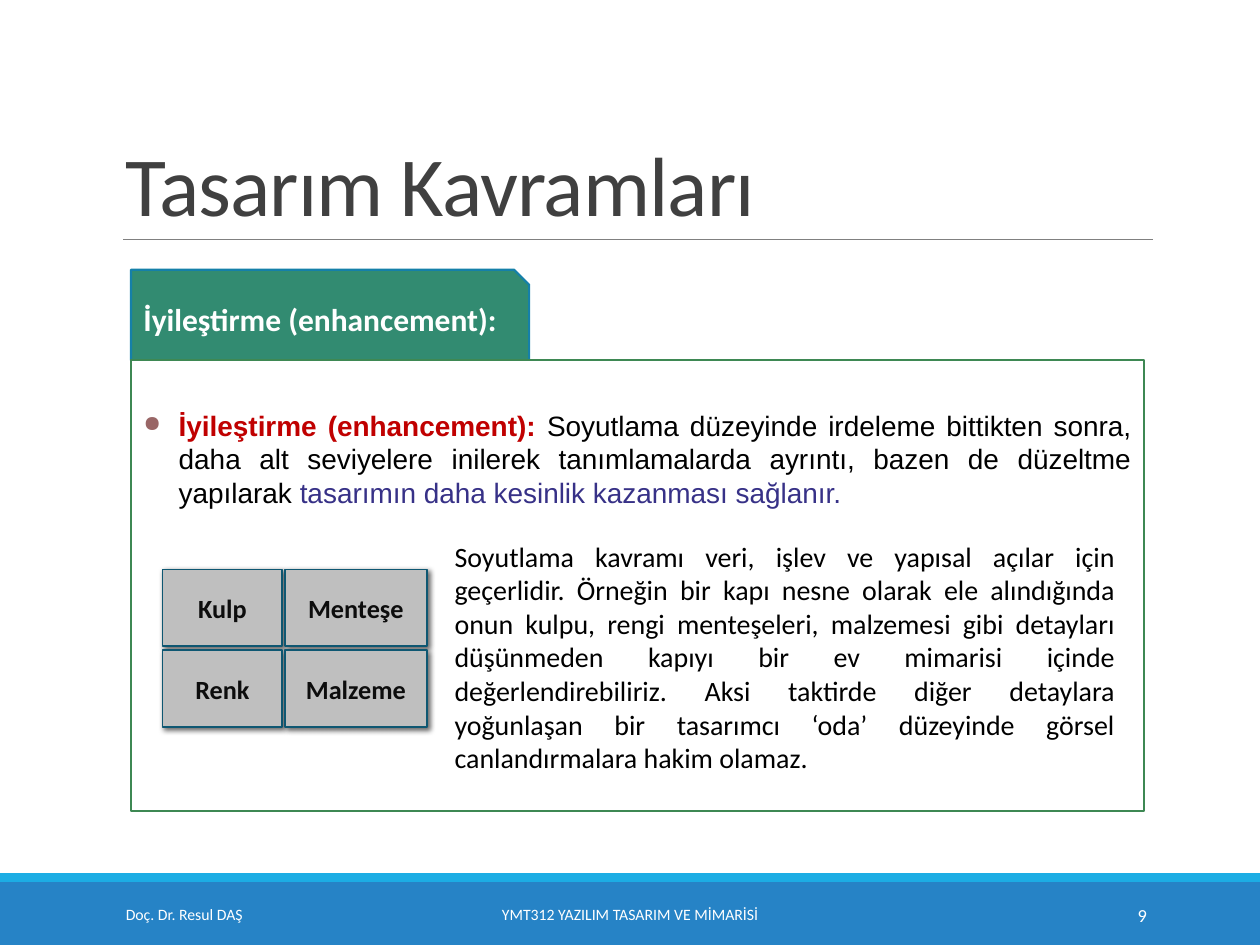
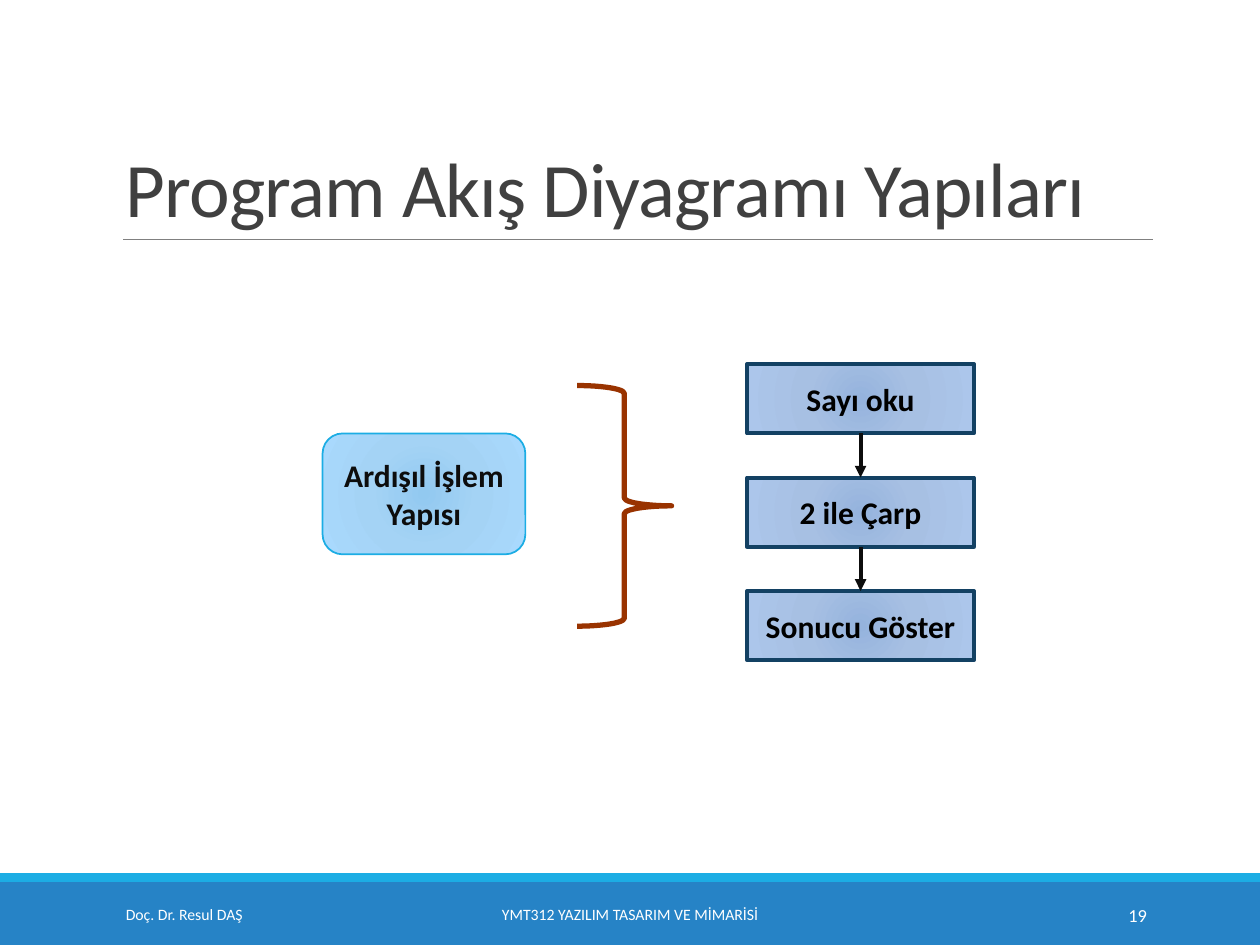
"""Build two lecture slides: design concepts and program flow structures."""
from lxml.etree import SubElement
from pptx import Presentation
from pptx.dml.color import RGBColor
from pptx.enum.shapes import MSO_CONNECTOR, MSO_SHAPE
from pptx.enum.text import MSO_ANCHOR, PP_ALIGN
from pptx.oxml import parse_xml
from pptx.oxml.ns import nsdecls, qn
from pptx.util import Inches, Pt

COLORS = {
    "white": "FFFFFF", "black": "000000", "ink": "0D0D0D", "title": "404040",
    "rule": "808080", "footer": "2683C6", "stripe": "1CADE4",
    "tab": "328B71", "tab_line": "1580A9", "panel_line": "3E8853",
    "bullet": "996666", "red": "C00000", "violet": "373187",
    "part": "BFBFBF", "part_line": "0E5772", "step_line": "134163", "brace": "993300",
}
STEP_STOPS = [(0, "95B3DD"), (45, "A7C0E3"), (100, "ACC6EB")]
TOPIC_STOPS = [(0, "92C9F0"), (45, "A4D3F5"), (100, "A9D9FD")]


def add_box(page, kind, at, fill=None, line=None, width=1.0, stops=None):
    """Add a preset shape, or a text box when kind is None."""
    place = [Inches(value) for value in at]
    if kind is None:
        box = page.shapes.add_textbox(*place)
    else:
        box = page.shapes.add_shape(kind, *place)
        box.shadow.inherit = False
        if fill:
            box.fill.solid()
            box.fill.fore_color.rgb = RGBColor.from_string(COLORS[fill])
        else:
            box.fill.background()
        if line:
            box.line.color.rgb = RGBColor.from_string(COLORS[line])
            box.line.width = Pt(width)
        else:
            box.line.fill.background()
    if stops:
        marks = "".join(
            f'<a:gs pos="{pos * 1000}"><a:srgbClr val="{color}"/></a:gs>' for pos, color in stops)
        gradient = parse_xml(
            f'<a:gradFill {nsdecls("a")} rotWithShape="1"><a:gsLst>{marks}</a:gsLst>'
            '<a:path path="circle"><a:fillToRect l="50000" t="50000" r="50000" b="50000"/>'
            '</a:path></a:gradFill>')
        properties = box.fill._xPr
        properties.replace(properties.find(qn("a:noFill")), gradient)
    box.text_frame.word_wrap = True
    return box


def write(box, runs, size, align=PP_ALIGN.LEFT, anchor=MSO_ANCHOR.MIDDLE, font="Calibri"):
    """Fill a box with one paragraph of (text, color, bold) runs."""
    box.text_frame.vertical_anchor = anchor
    para = box.text_frame.paragraphs[0]
    para.alignment = align
    for text, color, bold in runs:
        span = para.add_run()
        span.text = text
        look = {"name": font, "size": Pt(size), "bold": bold}
        for name, value in look.items():
            setattr(span.font, name, value)
        span.font.color.rgb = RGBColor.from_string(COLORS[color])
    return para


deck = Presentation()
deck.slide_width, deck.slide_height = Inches(10), Inches(7.5)

pages = []
for title, size, number in [("Tasarım Kavramları", 48, "9"),
                            ("Program Akış Diyagramı Yapıları", 44, "19")]:
    page = deck.slides.add_slide(deck.slide_layouts[6])
    pages.append(page)
    add_box(page, MSO_SHAPE.RECTANGLE, (0, 7, 10, 0.5), "footer")
    add_box(page, MSO_SHAPE.RECTANGLE, (0, 6.93, 10, 0.07), "stripe")
    rule = page.shapes.add_connector(
        MSO_CONNECTOR.STRAIGHT, Inches(0.98), Inches(1.9), Inches(9.15), Inches(1.9))
    rule.line.color.rgb = RGBColor.from_string(COLORS["rule"])
    rule.line.width = Pt(0.5)
    SubElement(rule.line._get_or_add_ln().getparent(), qn("a:effectLst"))

    heading = add_box(page, None, (0.9, 0.31, 8.25, 1.59))
    para = write(heading, [(title, "title", False)], size, anchor=MSO_ANCHOR.BOTTOM)
    para.line_spacing = 0.85
    para.runs[0].font._element.set("spc", "-50")

    for left, width, text, points, align in [
        (0.9, 2.03, "Doç. Dr. Resul DAŞ", 9, PP_ALIGN.LEFT),
        (3.02, 3.96, "YMT312 YAZILIM TASARIM VE MİMARİSİ", 9, PP_ALIGN.CENTER),
        (8.12, 1.08, number, 10.5, PP_ALIGN.RIGHT),
    ]:
        write(add_box(page, None, (left, 7.06, width, 0.4)), [(text, "white", False)], points, align)

concepts, flow = pages

tab = add_box(concepts, MSO_SHAPE.SNIP_1_RECTANGLE, (1.04, 2.14, 3.16, 0.72), "tab", "tab_line", 1.25)
write(tab, [("İyileştirme (enhancement):", "white", True)], 18)

panel = add_box(concepts, MSO_SHAPE.RECTANGLE, (1.04, 2.86, 8.04, 3.58), "white", "panel_line", 1.25)
panel.text_frame.margin_top = Inches(0.38)
para = write(panel, [
    ("İyileştirme (enhancement): ", "red", True),
    ("Soyutlama düzeyinde irdeleme bittikten sonra, daha alt seviyelere inilerek "
     "tanımlamalarda ayrıntı, bazen de düzeltme yapılarak ", "black", False),
    ("tasarımın daha kesinlik kazanması sağlanır.", "violet", False),
], 16, PP_ALIGN.JUSTIFY, MSO_ANCHOR.TOP, "Arial")
settings = para._p.get_or_add_pPr()
settings.set("marL", str(Inches(0.28)))
settings.set("indent", str(-Inches(0.28)))
SubElement(SubElement(settings, qn("a:buClr")), qn("a:srgbClr"), val=COLORS["bullet"])
SubElement(settings, qn("a:buSzPct"), val="80000")
SubElement(settings, qn("a:buChar"), char="●")

example = add_box(concepts, None, (3.51, 4.23, 5.44, 1.99))
write(example, [(
    "Soyutlama kavramı veri, işlev ve yapısal açılar için geçerlidir. Örneğin bir kapı nesne "
    "olarak ele alındığında onun kulpu, rengi menteşeleri, malzemesi gibi detayları düşünmeden "
    "kapıyı bir ev mimarisi içinde değerlendirebiliriz. Aksi taktirde diğer detaylara yoğunlaşan "
    "bir tasarımcı ‘oda’ düzeyinde görsel canlandırmalara hakim olamaz.", "black", False)],
    16, PP_ALIGN.JUSTIFY, MSO_ANCHOR.TOP)

for row, names in enumerate([("Kulp", "Menteşe"), ("Renk", "Malzeme")]):
    for (left, width), name in zip([(1.29, 0.95), (2.26, 1.13)], names):
        part = add_box(concepts, MSO_SHAPE.RECTANGLE,
                       (left, 4.52 + row * 0.64, width, 0.61), "part", "part_line")
        write(part, [(name, "ink", True)], 15, PP_ALIGN.CENTER)
        effects = part.fill._xPr.find(qn("a:effectLst"))
        shadow = SubElement(effects, qn("a:outerShdw"), blurRad=str(Pt(3)), dist=str(Pt(2)),
                            dir="2700000", algn="tl", rotWithShape="0")
        shade = SubElement(shadow, qn("a:srgbClr"), val=COLORS["black"])
        SubElement(shade, qn("a:alpha"), val="60000")

steps = ["Sayı oku", "2 ile Çarp", "Sonucu Göster"]
step_top, step_height, step_pitch = 2.89, 0.55, 0.9
for index, name in enumerate(steps):
    top = step_top + index * step_pitch
    step = add_box(flow, MSO_SHAPE.RECTANGLE, (5.93, top, 1.8, step_height),
                   line="step_line", width=2.25, stops=STEP_STOPS)
    write(step, [(name, "black", True)], 18, PP_ALIGN.CENTER)

for index in range(len(steps) - 1):
    top = step_top + index * step_pitch
    arrow = flow.shapes.add_connector(
        MSO_CONNECTOR.STRAIGHT, Inches(6.83), Inches(top + step_height),
        Inches(6.83), Inches(top + step_pitch))
    arrow.line.color.rgb = RGBColor.from_string(COLORS["ink"])
    arrow.line.width = Pt(2.25)
    outline = arrow.line._get_or_add_ln()
    SubElement(outline, qn("a:tailEnd"), type="triangle")
    SubElement(outline.getparent(), qn("a:effectLst"))

topic = add_box(flow, MSO_SHAPE.ROUNDED_RECTANGLE, (2.56, 3.44, 1.61, 0.96),
                line="stripe", stops=TOPIC_STOPS)
write(topic, [("Ardışıl İşlem Yapısı", "ink", True)], 18, PP_ALIGN.CENTER)
add_box(flow, MSO_SHAPE.RIGHT_BRACE, (4.58, 3.06, 0.75, 1.91), line="brace", width=3)

deck.save("out.pptx")
